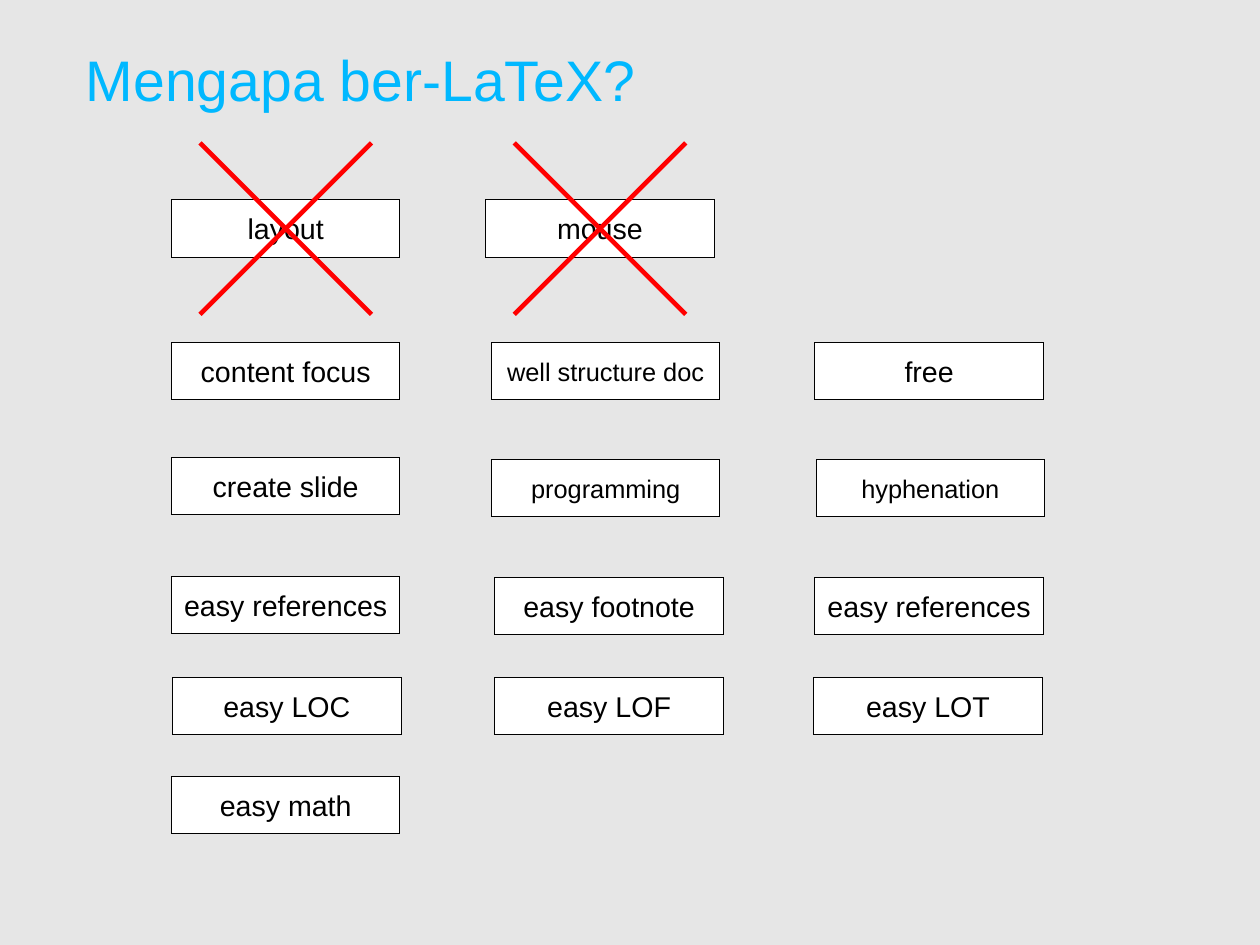
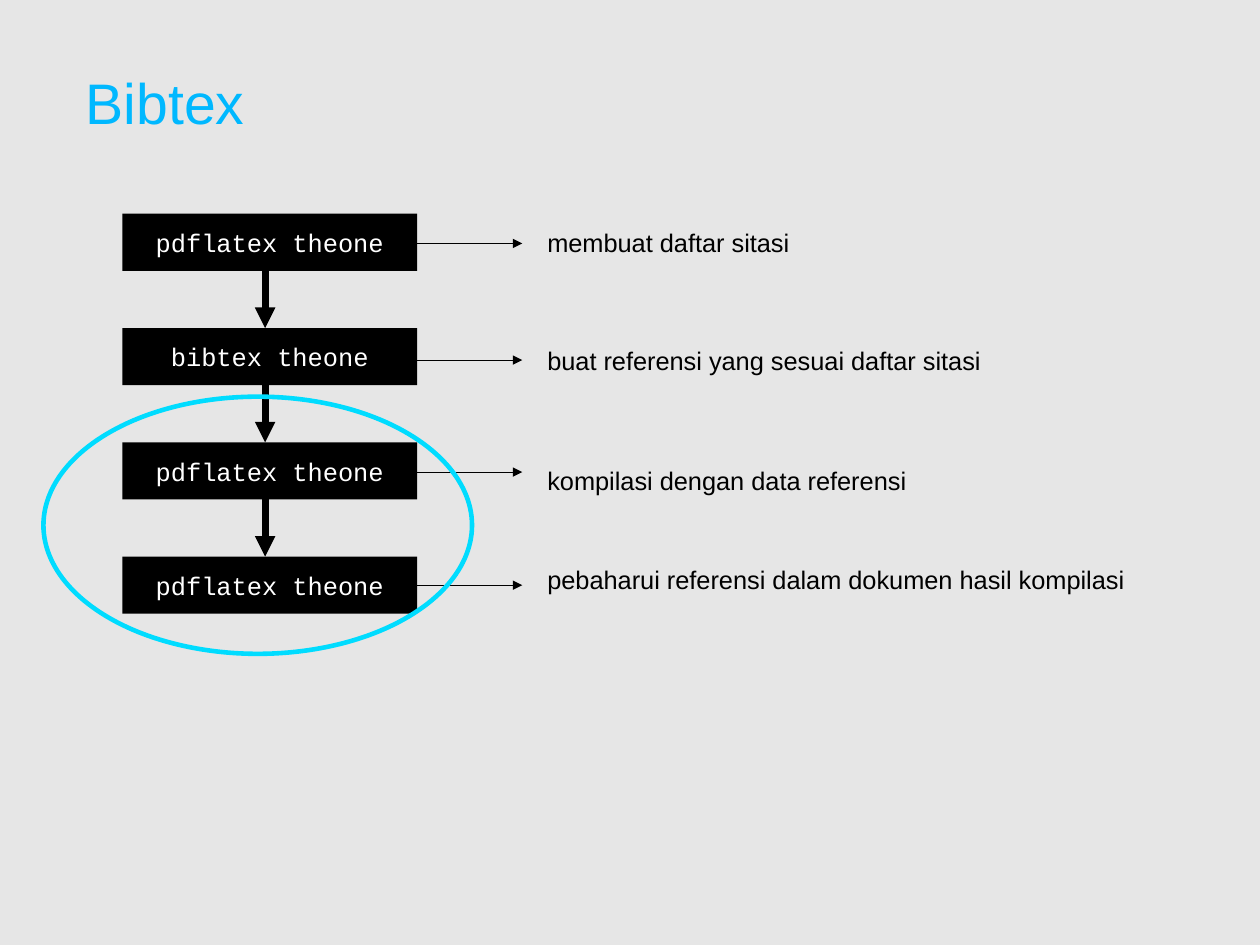
"""Build two slides: reasons to use LaTeX, and the BibTeX compile steps."""
from pptx import Presentation, util as u
from pptx.dml.color import RGBColor
from pptx.enum import shapes, text
from pptx.oxml.ns import qn
from lxml import etree

PX = 9144
HAIRLINE = 0.01
BLACK, WHITE, RED = "000000", "FFFFFF", "FF0000"
TITLE, GREY, CYAN = "00B8FF", "E6E6E6", "00DCFF"


def colour(value):
    return RGBColor.from_string(value)


def write(box, words, size, ink, font="Arial", align="LEFT", anchor="MIDDLE", inset=(10, 5), wrap=True):
    frame = box.text_frame
    frame.word_wrap = wrap
    frame.vertical_anchor = text.MSO_ANCHOR[anchor]
    frame.margin_left = frame.margin_right = inset[0] * PX
    frame.margin_top = frame.margin_bottom = inset[1] * PX
    para = frame.paragraphs[0]
    para.alignment = text.PP_ALIGN[align]
    span = para.add_run()
    span.text = words
    span.font.name = font
    span.font.size = u.Pt(size)
    span.font.color.rgb = colour(ink)


deck = Presentation()
deck.slide_width, deck.slide_height = u.Emu(10080625), u.Emu(7559675)
backdrop = deck.slide_master.background.fill
backdrop.solid()
backdrop.fore_color.rgb = colour(GREY)

pages = []
for heading, top in [("Mengapa ber-LaTeX?", 38), ("Bibtex", 58)]:
    page = deck.slides.add_slide(deck.slide_layouts[6])
    box = page.shapes.add_textbox(75 * PX, top * PX, 972 * PX, 62 * PX)
    write(box, heading, 36, TITLE, inset=(0, 0))
    pages.append(page)
reasons, steps = pages

reason_boxes = [
    (150, 175, "layout", 18), (425, 175, "mouse", 18),
    (150, 300, "content focus", 18), (430, 300, "well structure doc", 16), (713, 300, "free", 18),
    (150, 400, "create slide", 18), (430, 402, "programming", 16), (714, 402, "hyphenation", 16),
    (150, 504, "easy references", 18), (433, 505, "easy footnote", 18), (713, 505, "easy references", 18),
    (151, 593, "easy LOC", 18), (433, 593, "easy LOF", 18), (712, 593, "easy LOT", 18),
    (150, 679, "easy math", 18),
]
for left, top, words, size in reason_boxes:
    box = reasons.shapes.add_shape(shapes.MSO_SHAPE.RECTANGLE, left * PX, top * PX, 200 * PX, 50 * PX)
    box.shadow.inherit = False
    box.fill.solid()
    box.fill.fore_color.rgb = colour(WHITE)
    box.line.color.rgb = colour(BLACK)
    box.line.width = u.Pt(HAIRLINE)
    write(box, words, size, BLACK, align="CENTER")

lines = []
for left in (175, 450):
    for start, end in [(275, 125), (125, 275)]:
        lines.append((reasons, left, start, left + 150, end, RED, 2.89, False))

compile_steps = [
    ("pdflatex theone", 213, "membuat daftar sitasi", 194, 232),
    ("bibtex theone", 315, "buat referensi yang sesuai daftar sitasi", 297, 400),
    ("pdflatex theone", 413, "kompilasi dengan data referensi", 402, 335),
    ("pdflatex theone", 512, "pebaharui referensi dalam dokumen hasil kompilasi", 489, 526),
]
for index, (command, arrow_y, note, note_top, note_width) in enumerate(compile_steps):
    top = 187 + 100 * index
    box = steps.shapes.add_shape(shapes.MSO_SHAPE.RECTANGLE, 107 * PX, top * PX, 258 * PX, 50 * PX)
    box.shadow.inherit = False
    box.fill.solid()
    box.fill.fore_color.rgb = colour(BLACK)
    box.line.fill.background()
    write(box, command, 16, WHITE, font="Courier New", align="CENTER", inset=(12, 7))
    label = steps.shapes.add_textbox(469 * PX, note_top * PX, note_width * PX, 35 * PX)
    write(label, note, 16, BLACK, anchor="TOP", wrap=False)
    label.text_frame.auto_size = text.MSO_AUTO_SIZE.SHAPE_TO_FIT_TEXT
    lines.append((steps, 357, arrow_y, 457, arrow_y, BLACK, HAIRLINE, True))
    if index:
        lines.append((steps, 232, top - 50, 232, top, BLACK, 4.31, True))

for page, x1, y1, x2, y2, ink, width, arrow in lines:
    line = page.shapes.add_connector(shapes.MSO_CONNECTOR.STRAIGHT, x1 * PX, y1 * PX, x2 * PX, y2 * PX)
    line.line.color.rgb = colour(ink)
    line.line.width = u.Pt(width)
    properties = line.element.spPr
    if arrow:
        etree.SubElement(properties.find(qn("a:ln")), qn("a:tailEnd"), type="triangle")
    etree.SubElement(properties, qn("a:effectLst"))

ring = steps.shapes.add_shape(shapes.MSO_SHAPE.OVAL, 38 * PX, 347 * PX, 375 * PX, 225 * PX)
ring.shadow.inherit = False
ring.fill.background()
ring.line.color.rgb = colour(CYAN)
ring.line.width = u.Pt(2.89)

deck.save("out.pptx")
